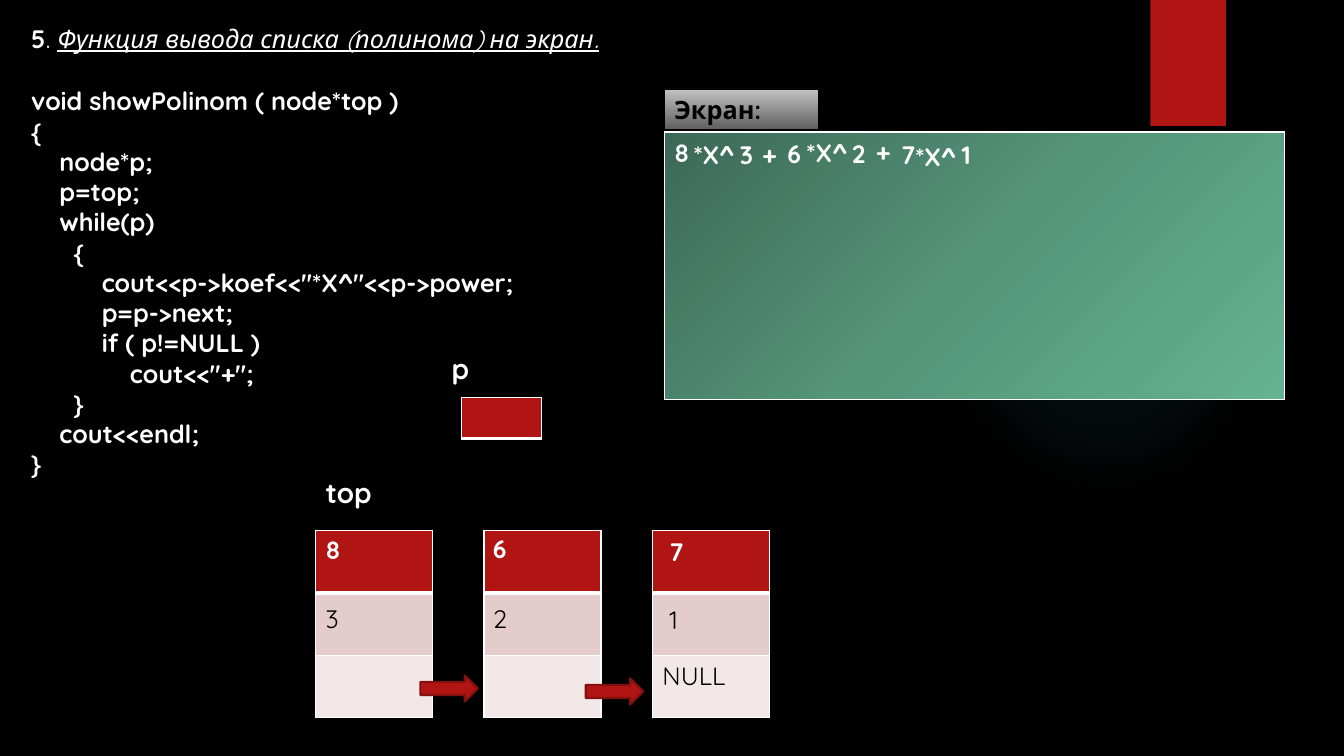
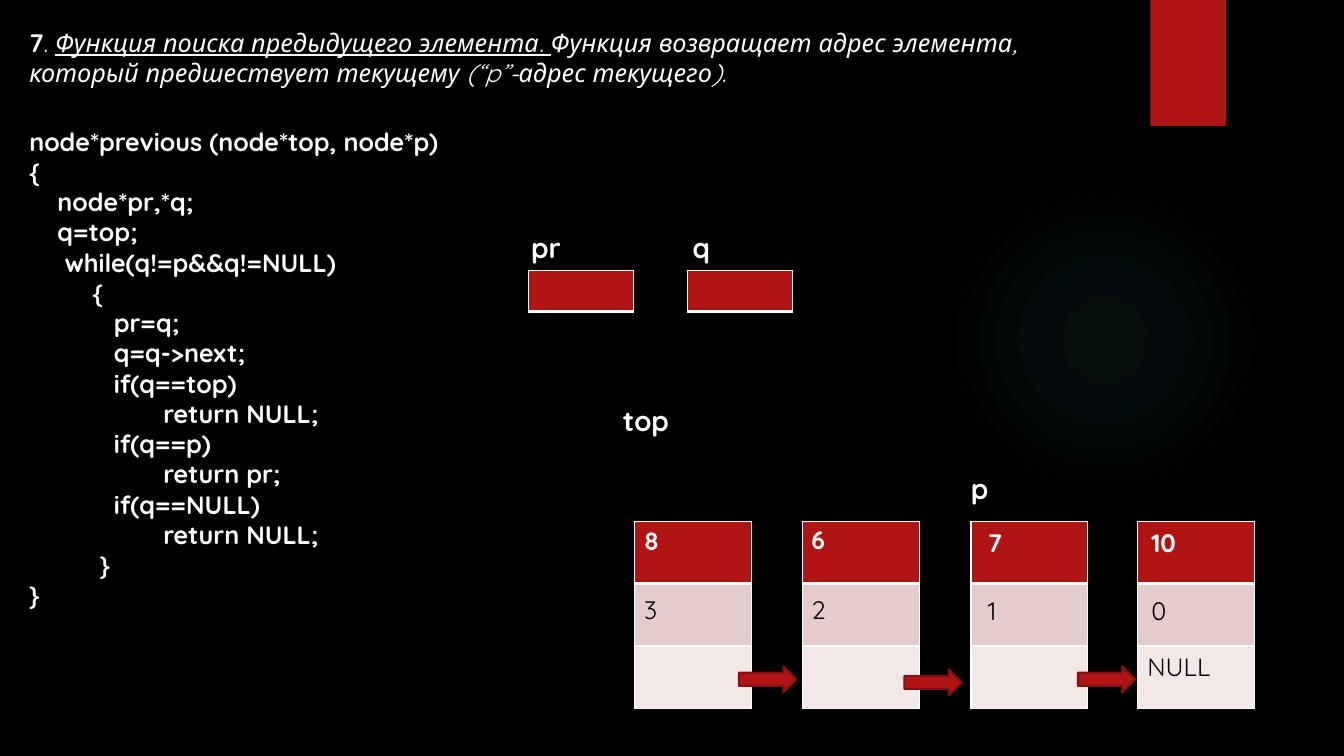
from dataclasses import dataclass

from lxml import etree
from pptx import Presentation
from pptx.dml.color import RGBColor
from pptx.enum.shapes import MSO_SHAPE
from pptx.enum.text import MSO_ANCHOR, MSO_AUTO_SIZE, PP_ALIGN
from pptx.oxml.ns import qn
from pptx.util import Inches, Pt

RECT, OVAL, ARROW = MSO_SHAPE.RECTANGLE, MSO_SHAPE.OVAL, MSO_SHAPE.RIGHT_ARROW
TOP, MIDDLE, LEFT = MSO_ANCHOR.TOP, MSO_ANCHOR.MIDDLE, PP_ALIGN.LEFT
NO_AUTOFIT = MSO_AUTO_SIZE.NONE

FONT = "Quicksand"
COLORS = {
    "black": "000000", "white": "FFFFFF", "red": "B01513", "dark_red": "82100E",
    "pink": "E4CCCC", "pale": "F2E8E7", "glow": "50B9C1",
}
GLOW = [(0, COLORS["glow"], 7), (36, COLORS["glow"], 6), (69, COLORS["glow"], 0)]
SCREEN = [(0, "3C6956", 100), (50, "55957A", 100), (100, "65B191", 100)]
CAPTION = [(0, "C1C1C1", 100), (100, "5E5E5E", 100)]

NODE_W, ROW_H = 1.16, 0.62


@dataclass
class Node:
    """A list node; left and arrow are offsets from the list, dx and dy shift its numbers."""
    coef: str
    power: str
    left: float
    dx: float = 0
    dy: float = 0
    arrow: tuple[float, float] = (0, 0)


@dataclass
class Label:
    text: str
    left: float
    top: float
    width: float = 0.82


@dataclass
class Pointer:
    """A named pointer variable: its caption and its empty cell."""
    label: Label
    left: float
    top: float
    width: float


NODES = [
    Node("8", "3", 0, arrow=(1.04, 1.44)),
    Node("6", "2", 1.67, -0.01, -0.01, (2.68, 1.47)),
    Node("7", "1", 3.34, 0.07, 0.02, (4.4, 1.44)),
    Node("10", "0", 4.99, 0.04, 0.02),
]

OUTPUT = [
    Label("8", 6.59, 1.31), Label("*X^", 6.78, 1.33), Label("3", 7.24, 1.33),
    Label("+", 7.46, 1.33), Label("6", 7.71, 1.32), Label("*X^", 7.9, 1.31),
    Label("*X^", 8.98, 1.35), Label("7", 8.84, 1.33, 0.32), Label("1", 9.44, 1.33, 0.41),
    Label("+", 8.59, 1.3, 0.4), Label("2", 8.35, 1.32, 0.34),
]

SHOW_CODE = """void showPolinom ( node*top )
{
    node*p;
    p=top;
    while(p)
      {
          cout<<p->koef<<"*X^"<<p->power;
          p=p->next;
          if ( p!=NULL )
              cout<<"+";
      }
    cout<<endl;
}"""

PREVIOUS_CODE = """node*previous (node*top, node*p)
{
    node*pr,*q;
    q=top;
     while(q!=p&&q!=NULL)
         {
            pr=q;
            q=q->next;
            if(q==top)
                   return NULL;
            if(q==p)
                   return pr;
            if(q==NULL)
                   return NULL;
          }
}"""


def rgb(name: str) -> RGBColor:
    return RGBColor.from_string(COLORS[name])


def box(left: float, top: float, width: float, height: float) -> tuple:
    return Inches(left), Inches(top), Inches(width), Inches(height)


def style_font(font, color: str = "white", size: float = 18, bold: bool = True) -> None:
    font.name, font.size, font.bold = FONT, Pt(size), bold
    font.color.rgb = rgb(color)


def set_gradient(fill, props, stops: list, angle: int | None = None) -> None:
    """Fill with colour stops: linear at an angle, or circular without one."""
    fill.background()
    grad = etree.Element(qn("a:gradFill"), rotWithShape="1")
    stop_list = etree.SubElement(grad, qn("a:gsLst"))
    for pos, color, alpha in stops:
        gs = etree.SubElement(stop_list, qn("a:gs"), pos=str(pos * 1000))
        clr = etree.SubElement(gs, qn("a:srgbClr"), val=color)
        if alpha < 100:
            etree.SubElement(clr, qn("a:alpha"), val=str(alpha * 1000))
    if angle is None:
        circle = etree.SubElement(grad, qn("a:path"), path="circle")
        etree.SubElement(circle, qn("a:fillToRect"), l="50000", t="50000", r="50000", b="50000")
    else:
        etree.SubElement(grad, qn("a:lin"), ang=str(angle * 60000), scaled="0")
    props.replace(props.find(qn("a:noFill")), grad)


def add_plain_shape(s, kind, place: tuple, fill: str | None = None,
                    line: str | None = None, line_width: float = 0.75):
    sp = s.shapes.add_shape(kind, *place)
    sp.shadow.inherit = False
    if fill:
        sp.fill.solid()
        sp.fill.fore_color.rgb = rgb(fill)
    if line:
        sp.line.color.rgb = rgb(line)
        sp.line.width = Pt(line_width)
    else:
        sp.line.fill.background()
    return sp


def set_borders(cell, top: float = 1, bottom: float = 1) -> None:
    props = cell._tc.get_or_add_tcPr()
    for side, width in (("L", 1), ("R", 1), ("T", top), ("B", bottom)):
        ln = etree.SubElement(props, qn(f"a:ln{side}"), w=str(Pt(width)))
        fill = etree.SubElement(ln, qn("a:solidFill"))
        etree.SubElement(fill, qn("a:srgbClr"), val=COLORS["white"])


def add_column(s, left: float, top: float, width: float, heights: list[float]) -> list:
    """Add an unstyled one-column table and return its cells."""
    table = s.shapes.add_table(len(heights), 1, *box(left, top, width, sum(heights))).table
    table.first_row = table.horz_banding = False
    for row, height in zip(table.rows, heights):
        row.height = Inches(height)
    return [table.cell(i, 0) for i in range(len(heights))]


def fill_cell(cell, color: str) -> None:
    cell.fill.solid()
    cell.fill.fore_color.rgb = rgb(color)


def add_label(s, label: Label, size: float = 18, color: str = "white", bold: bool = True) -> None:
    tf = s.shapes.add_textbox(*box(label.left, label.top, label.width, 0.4)).text_frame
    tf.word_wrap = True
    tf.text = label.text
    style_font(tf.paragraphs[0].runs[0].font, color, size, bold)


def add_pointer(s, pointer: Pointer) -> None:
    add_label(s, pointer.label, 20)
    cell, = add_column(s, pointer.left, pointer.top, pointer.width, [0.41])
    set_borders(cell, bottom=3)
    fill_cell(cell, "red")


def add_linked_list(s, nodes: list[Node], left: float, top: float) -> None:
    for node in nodes:
        x = left + node.left
        coef, power, link = cells = add_column(s, x, top, NODE_W, [ROW_H] * 3)
        set_borders(coef, bottom=3)
        set_borders(power, top=3)
        set_borders(link)
        for cell, color in zip(cells, ("red", "pink", "pale")):
            fill_cell(cell, color)
        add_label(s, Label(node.coef, x + node.dx, top - 0.01 + node.dy))
        add_label(s, Label(node.power, x + node.dx, top + 0.68 + node.dy / 2),
                  color="black", bold=False)
        if node is nodes[-1]:
            link.text = "NULL"
            style_font(link.text_frame.paragraphs[0].runs[0].font, "black", bold=False)
        else:
            dx, dy = node.arrow
            add_plain_shape(s, ARROW, box(left + dx, top + dy, 0.57, 0.26),
                            "red", "dark_red", 1.5)


def place_text(sp, place: tuple):
    sp.left, sp.top, sp.width, sp.height = place
    tf = sp.text_frame
    tf.word_wrap, tf.auto_size, tf.vertical_anchor = True, NO_AUTOFIT, TOP
    return tf


def set_title(s, place: tuple, number: str, underlined: str, rest: str = "") -> None:
    p = place_text(s.shapes.title, place).paragraphs[0]
    p.alignment = LEFT
    parts = [(number, True, False, False), (". ", False, False, False),
             (underlined, False, True, True), (rest, False, True, False)]
    for text, bold, italic, underline in parts:
        if text:
            r = p.add_run()
            r.text = text
            style_font(r.font, bold=bold)
            r.font.italic, r.font.underline = italic, underline


def set_code(s, place: tuple, code: str) -> None:
    tf = place_text(s.placeholders[1], place)
    for i, line in enumerate(code.split("\n")):
        p = tf.add_paragraph() if i else tf.paragraphs[0]
        p.text = line
        props = p._p.get_or_add_pPr()
        props.set("marL", "0")
        props.set("indent", "0")
        etree.SubElement(props, qn("a:buNone"))
        p.space_before = Pt(0)
        style_font(p.runs[0].font)


def decorate_layout(s, layout) -> None:
    """Put the background, the glow and the red band on the shared layout."""
    layout.background.fill.solid()
    layout.background.fill.fore_color.rgb = rgb("black")
    glow = add_plain_shape(s, OVAL, box(9.41, 1.83, 3.08, 3.08))
    set_gradient(glow.fill, glow.element.spPr, GLOW)
    band = add_plain_shape(s, RECT, box(11.41, 0, 0.75, 1.25), "red")
    for sp in (glow, band):
        layout.shapes.element.append(sp.element)


def add_screen(s) -> None:
    cell, = add_column(s, 6.59, 1.31, 6.15, [2.65])
    set_borders(cell)
    set_gradient(cell.fill, cell._tc.get_or_add_tcPr(), SCREEN, 45)
    caption = add_plain_shape(s, RECT, box(6.59, 0.89, 1.53, 0.4), line="black")
    set_gradient(caption.fill, caption.element.spPr, CAPTION, 90)
    tf = caption.text_frame
    tf.text, tf.vertical_anchor = "Экран:", MIDDLE
    tf.paragraphs[0].alignment = LEFT
    style_font(tf.paragraphs[0].runs[0].font, "black")
    for label in OUTPUT:
        add_label(s, label)


def build_show_slide(s) -> None:
    set_title(s, box(0.21, 0.18, 9.13, 0.4), "5", "Функция вывода списка (полинома) на экран.")
    set_code(s, box(0.21, 0.8, 5.17, 4.04), SHOW_CODE)
    add_screen(s)
    add_linked_list(s, NODES[:3], 3.13, 5.26)
    add_label(s, Label("top", 3.13, 4.67), 20)
    add_pointer(s, Pointer(Label("p", 4.38, 3.44), 4.58, 3.94, 0.79))


def build_previous_slide(s) -> None:
    set_title(s, box(0.19, 0.22, 10.61, 0.71), "7", "Функция поиска предыдущего элемента. ",
              "Функция возвращает адрес элемента, который предшествует текущему "
              "(“p”-адрес текущего).")
    set_code(s, box(0.19, 1.2, 4.66, 4.95), PREVIOUS_CODE)
    add_linked_list(s, NODES, 6.29, 5.17)
    add_label(s, Label("top", 6.08, 3.95), 20)
    add_label(s, Label("p", 9.53, 4.63), 20)
    add_pointer(s, Pointer(Label("pr", 5.17, 2.24), 5.24, 2.68, 1.04))
    add_pointer(s, Pointer(Label("q", 6.77, 2.24), 6.82, 2.68, 1.04))


def main() -> None:
    prs = Presentation()
    prs.slide_width, prs.slide_height = Inches(13.33), Inches(7.5)
    layout = prs.slide_layouts[1]
    show, previous = (prs.slides.add_slide(layout) for _ in range(2))
    decorate_layout(show, layout)
    build_show_slide(show)
    build_previous_slide(previous)
    prs.save("out.pptx")


if __name__ == "__main__":
    main()
